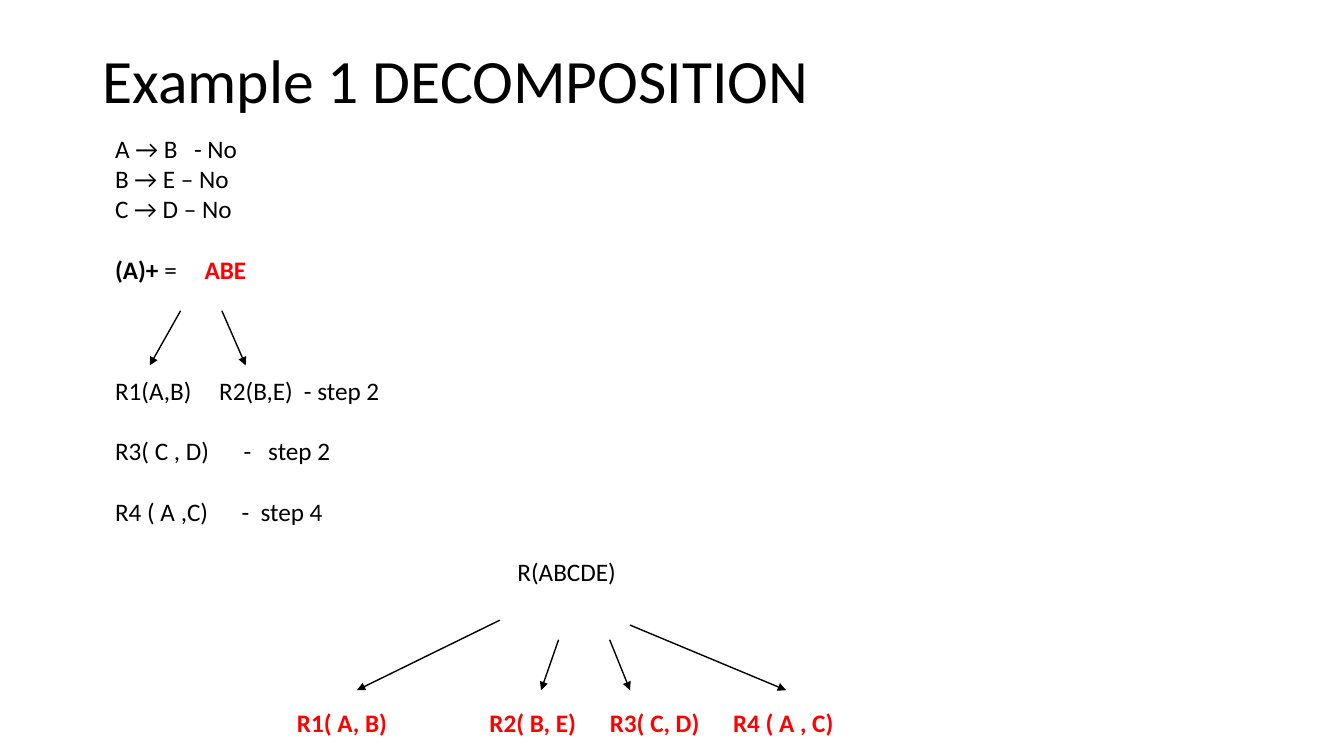
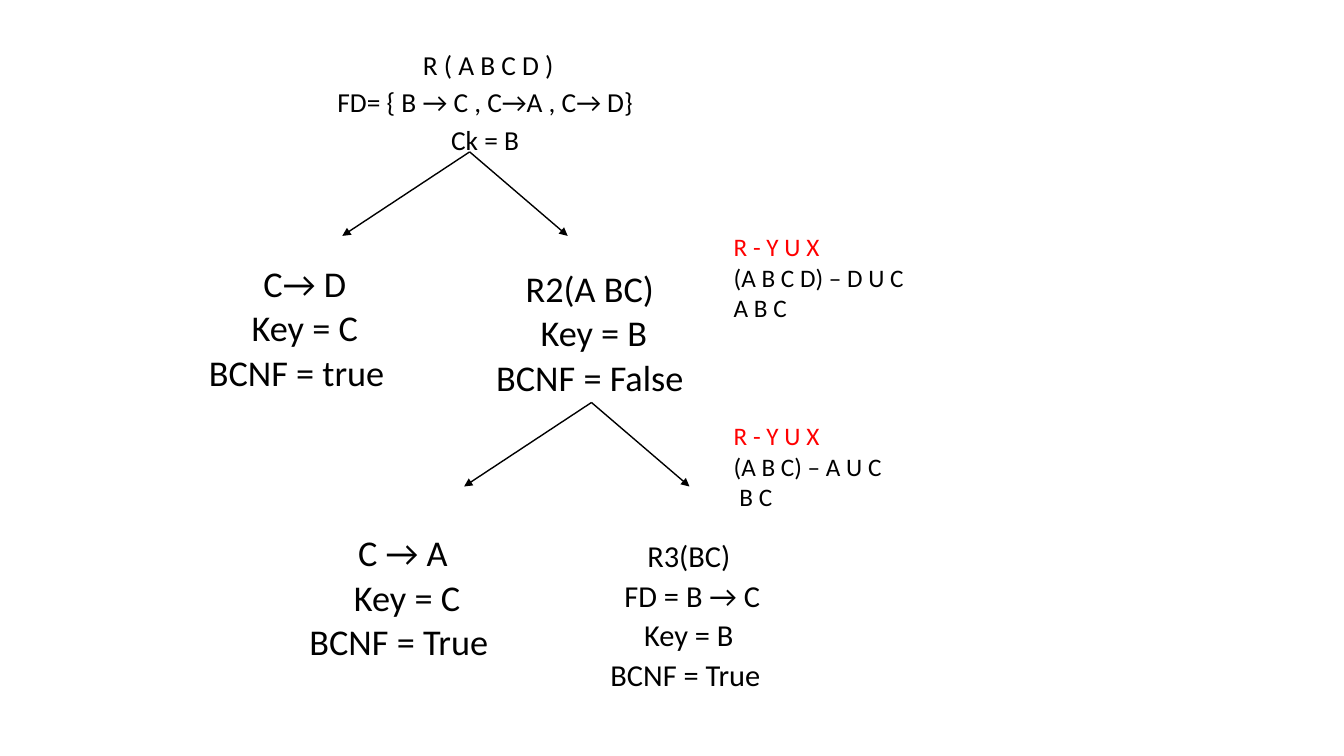
"""Two slides on relational decomposition into BCNF, drawn as small trees."""
from pptx import Presentation
from pptx.dml.color import RGBColor
from pptx.enum.shapes import MSO_CONNECTOR
from pptx.enum.text import MSO_ANCHOR, MSO_AUTO_SIZE, PP_ALIGN
from pptx.oxml.ns import qn
from pptx.util import Pt
from lxml.etree import SubElement

FONT = "Calibri"
BLACK, RED = "000000", "FF0000"
ROW = 21.6
LEFT, TOP = 75, 91.5
SPACE_WIDTH = 0.226

TITLE = "Example 1 DECOMPOSITION"
# Each step: blank rows above, runs of (text, bold).
STEPS = [
    (0, [("A → B", False)]),
    (0, [("B → E – No", False)]),
    (0, [("C → D – No", False)]),
    (1, [("(A)+ ", True), ("=", False)]),
    (3, [("R1(A,B)", False)]),
    (1, [("R3( C , D)", False)]),
    (1, [("R4 ( A ,C)", False)]),
]
# Each label: row, distance from the left edge, text, bold, colour.
LABELS = [
    (0, 56.5, "- No", False, BLACK),
    (4, 64, "ABE", True, RED),
    (8, 74.5, "R2(B,E)", False, BLACK),
    (8, 135, "- step 2", False, BLACK),
    (10, 92, "-", False, BLACK),
    (10, 109.5, "step 2", False, BLACK),
    (12, 90.5, "-", False, BLACK),
    (12, 104, "step 4", False, BLACK),
    (14, 287.5, "R(ABCDE)", False, BLACK),
    (19, 130, "R1( A, B)", True, RED),
    (19, 267.5, "R2( B, E)", True, RED),
    (19, 353.5, "R3( C, D)", True, RED),
    (19, 441.5, "R4 ( A , C)", True, RED),
]
STEP_ARROWS = [
    ((129, 222), (107, 261)), ((158.5, 222), (175.5, 261)),
    ((357, 443), (255, 493)), ((399, 457), (386.5, 493)),
    ((435.5, 457), (450, 493)), ((450, 446.5), (561.5, 493)),
]

# Each line: text, widths of a space left free at its right.
ROOT = ((152.5, 37.5, 392.5, 80), 19.6,
        [("R ( A B C D )", 0), ("FD= { B → C , C→A , C→ D}", 1), ("Ck = B", 1)])
NODES = [
    ((59, 191.5, 317.5, 96), 25.9,
     [("C→ D", 0), ("Key = C", 0), ("BCNF = true", 2)]),
    ((265.5, 195, 317.5, 96), 25.9,
     [("R2(A BC)", 1), ("Key = B", 0), ("BCNF = False", 1)]),
    ((132, 384, 317.5, 96), 25.9,
     [("C → A", 1), ("Key = C", 0), ("BCNF = True", 2)]),
    ((331, 387.5, 327, 115), 21.7,
     [("R3(BC)", 1), ("FD = B → C", 0), ("Key = B", 1), ("BCNF = True", 2)]),
]
NOTES = [
    ((517, 162, 142, 94), ["R - Y U X", "(A B C D) – D U C", "A B C"]),
    ((517, 297, 142, 94), ["R - Y U X", "(A B C) – A U C", " B C"]),
]
FORKS = [(335.5, 108.5), (422.5, 287.5)]
BRANCHES = [(-91, 60), (70, 60)]


def rgb(color):
    """Turn a hex string into a colour."""
    return RGBColor.from_string(color)


def place(sp, box):
    """Move a shape to its box and fix how its text sits."""
    sp.left, sp.top, sp.width, sp.height = (Pt(v) for v in box)
    tf = sp.text_frame
    tf.word_wrap = True
    tf.auto_size = MSO_AUTO_SIZE.NONE
    tf.vertical_anchor = MSO_ANCHOR.TOP
    return tf


def add_run(p, text, size, color=BLACK, bold=False):
    """Append one formatted run."""
    r = p.add_run()
    r.text = text
    r.font.name, r.font.size, r.font.bold = FONT, Pt(size), bold
    r.font.color.rgb = rgb(color)


def add_paragraph(tf, index, before=0, spacing=1.0, align=PP_ALIGN.LEFT, right=0):
    """Start an unbulleted paragraph with its spacing and right margin."""
    p = tf.add_paragraph() if index else tf.paragraphs[0]
    p.alignment, p.space_before, p.line_spacing = align, Pt(before), spacing
    pPr = p._p.get_or_add_pPr()
    for name, value in (("marL", 0), ("marR", Pt(right)), ("indent", 0)):
        pPr.set(name, str(int(value)))
    SubElement(pPr, qn("a:buNone"))
    return p


def add_arrow(slide, start, end):
    """Draw a thin black arrow."""
    line = slide.shapes.add_connector(
        MSO_CONNECTOR.STRAIGHT, *(Pt(v) for v in (*start, *end)))
    line.line.color.rgb = rgb(BLACK)
    line.line.width = Pt(1)
    SubElement(line.line._get_or_add_ln(), qn("a:tailEnd"), type="triangle")
    SubElement(line._element.spPr, qn("a:effectLst"))


def fill_node(sp, box, size, lines):
    """Write a centred tree node."""
    tf = place(sp, box)
    for i, (text, spaces) in enumerate(lines):
        p = add_paragraph(tf, i, 10, 0.7, PP_ALIGN.CENTER, spaces * SPACE_WIDTH * size)
        add_run(p, text, size)


def text_box(slide):
    """Add an empty text box."""
    return slide.shapes.add_textbox(0, 0, Pt(10), Pt(10))


def build_steps(prs):
    """Build the decomposition steps."""
    slide = prs.slides.add_slide(prs.slide_layouts[1])
    tf = place(slide.shapes.title, (66, 29, 828, 62))
    tf.vertical_anchor = MSO_ANCHOR.MIDDLE
    add_run(add_paragraph(tf, 0, spacing=0.9), TITLE, 44)
    tf = place(slide.placeholders[1], (LEFT, TOP, 819, 288))
    for i, (blank, runs) in enumerate(STEPS):
        p = add_paragraph(tf, i, blank * ROW)
        for text, bold in runs:
            add_run(p, text, 18, bold=bold)
    for row, x, text, bold, color in LABELS:
        tf = place(text_box(slide), (LEFT + x, TOP + row * ROW, 110, 29))
        add_run(add_paragraph(tf, 0), text, 18, color, bold)
    for start, end in STEP_ARROWS:
        add_arrow(slide, start, end)


def build_tree(prs):
    """Build the BCNF tree."""
    slide = prs.slides.add_slide(prs.slide_layouts[1])
    title = slide.shapes.title._element
    title.getparent().remove(title)
    fill_node(slide.placeholders[1], *ROOT)
    for node in NODES:
        fill_node(text_box(slide), *node)
    for box, lines in NOTES:
        tf = place(text_box(slide), box)
        for i, text in enumerate(lines):
            add_run(add_paragraph(tf, i), text, 18, BLACK if i else RED)
    for x, y in FORKS:
        for dx, dy in BRANCHES:
            add_arrow(slide, (x, y), (x + dx, y + dy))


def main():
    """Build and save the presentation."""
    prs = Presentation()
    prs.slide_width, prs.slide_height = Pt(960), Pt(540)
    build_steps(prs)
    build_tree(prs)
    prs.save("out.pptx")


if __name__ == "__main__":
    main()
